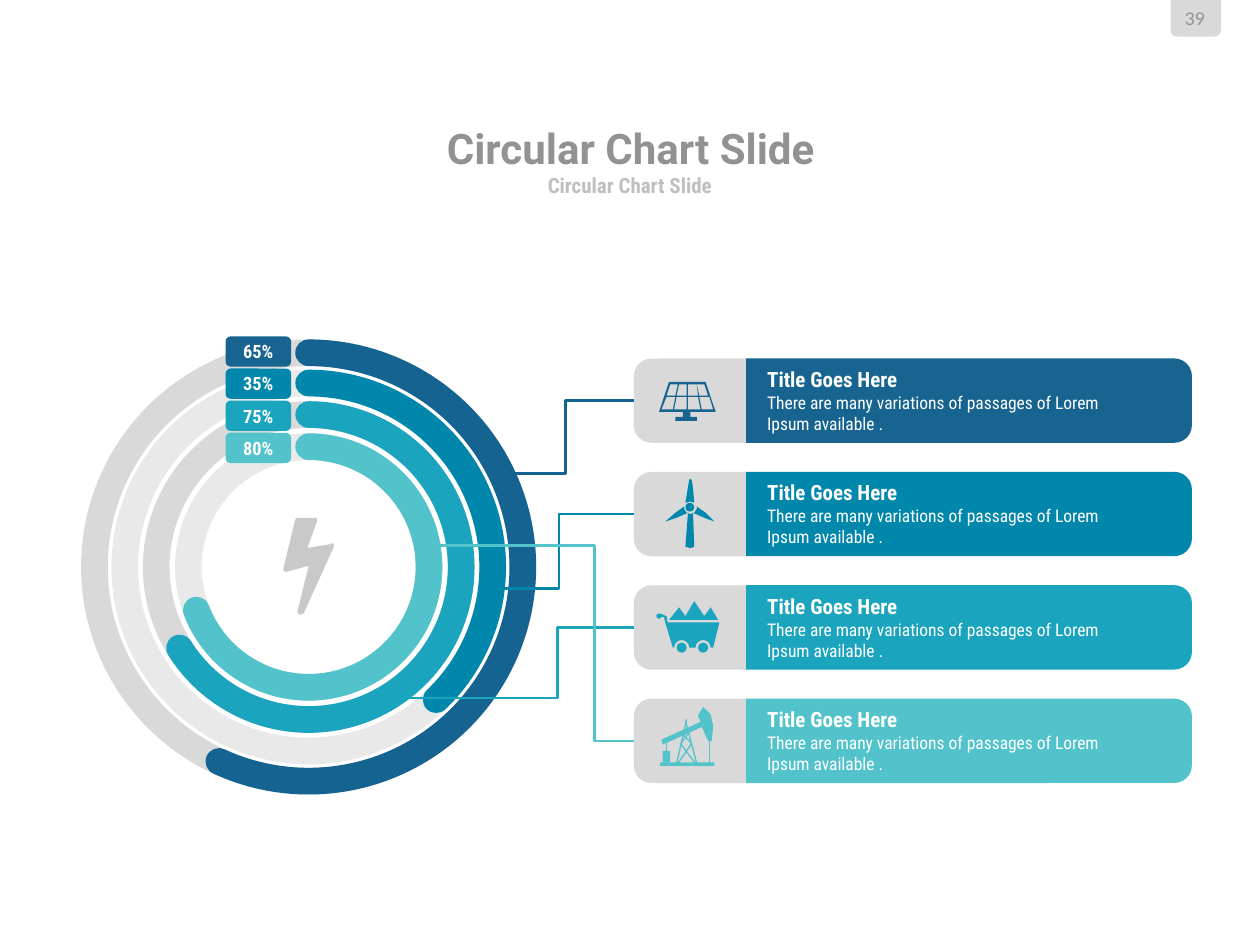
from math import cos, pi, sin

from lxml.etree import SubElement
from pptx import Presentation
from pptx.dml.color import RGBColor
from pptx.enum.shapes import MSO_CONNECTOR, MSO_SHAPE
from pptx.enum.text import MSO_ANCHOR, PP_ALIGN
from pptx.oxml.ns import qn
from pptx.util import Inches, Pt

NAVY = RGBColor(0x17, 0x64, 0x90)
DEEP_NAVY = RGBColor(0x14, 0x63, 0x90)
BLUE = RGBColor(0x01, 0x87, 0xAC)
TEAL = RGBColor(0x1A, 0xA4, 0xBE)
AQUA = RGBColor(0x52, 0xC3, 0xCB)
GREY = RGBColor(0xD9, 0xD9, 0xD9)
PALE = RGBColor(0xE9, 0xE9, 0xE9)
BOLT_GREY = RGBColor(0xC9, 0xC9, 0xC9)
TITLE_GREY = RGBColor(0x92, 0x92, 0x92)
SUBTITLE_GREY = RGBColor(0xBF, 0xBF, 0xBF)
WHITE = RGBColor(0xFF, 0xFF, 0xFF)

deck = Presentation()
deck.slide_width, deck.slide_height = Inches(10), Inches(7.5)
page = deck.slides.add_slide(deck.slide_layouts[6])


def add_filled(kind, left, top, width, height, color, rotation=0):
    shape = page.shapes.add_shape(
        kind, Inches(left), Inches(top), Inches(width), Inches(height))
    shape.rotation = rotation
    shape.shadow.inherit = False
    shape.fill.solid()
    shape.fill.fore_color.rgb = color
    shape.line.fill.background()
    return shape


def write_lines(box, lines, align=PP_ALIGN.CENTER, anchor=MSO_ANCHOR.MIDDLE, inset=0):
    """Fill a box with one paragraph per (text, font values) pair."""
    frame = box.text_frame
    frame.word_wrap = True
    frame.vertical_anchor = anchor
    for side, size in {"left": 2 * inset, "right": 2 * inset,
                       "top": inset, "bottom": inset}.items():
        setattr(frame, f"margin_{side}", Inches(size))
    for index, (text, font) in enumerate(lines):
        para = frame.add_paragraph() if index else frame.paragraphs[0]
        para.alignment = align
        span = para.add_run()
        span.text = text
        for name, value in font.items():
            if name == "color":
                span.font.color.rgb = value
            else:
                setattr(span.font, name, value)


# Page number and headings
add_filled(MSO_SHAPE.ROUND_2_SAME_RECTANGLE, 9.29, 0, 0.4, 0.29, GREY, 180)
headings = [
    ("39", (9.32, 0.06, 0.33, 0.17), "Lato", 10, TITLE_GREY, False),
    ("Circular Chart Slide", (1.92, 0.98, 6.17, 0.39), "Roboto", 24, TITLE_GREY, True),
    ("Circular Chart Slide", (2.75, 1.36, 4.5, 0.22), "Roboto Condensed", 12,
     SUBTITLE_GREY, True),
]
for text, place, name, size, color, bold in headings:
    box = page.shapes.add_textbox(*[Inches(value) for value in place])
    write_lines(box, [(text, {"name": name, "size": Pt(size), "color": color, "bold": bold})])

# Concentric rings: diameter, track colour, track end, value colour, value end
CENTER_X, CENTER_Y = 2.45, 4.5
rings = [
    (1.91, PALE, 160.69, AQUA, 95.4),
    (2.42, GREY, 160.87, TEAL, 88.75),
    (2.92, PALE, 160.93, BLUE, 27.68),
    (3.4, GREY, 160.96, DEEP_NAVY, 68.86),
]
for diameter, track_color, track_end, value_color, value_end in rings:
    for color, end in ((track_color, track_end), (value_color, value_end)):
        arc = page.shapes.add_shape(
            MSO_SHAPE.ARC, Inches(CENTER_X - diameter / 2), Inches(CENTER_Y - diameter / 2),
            Inches(diameter), Inches(diameter))
        arc.adjustments[0], arc.adjustments[1] = 162, end
        arc.shadow.inherit = False
        arc.fill.background()
        arc.line.color.rgb = color
        arc.line.width = Pt(15.25)
        arc.line._ln.set("cap", "rnd")

# Rows: colour, connector colour, connector end, connector bend
FIRST_ROW, ROW_STEP, ROW_HEIGHT = 3.18, 0.9, 0.67
TILE_LEFT, TILE_WIDTH, BAR_WIDTH = 5.03, 0.89, 3.54
rows = [
    (NAVY, DEEP_NAVY, (3.95, 3.76), 50000),
    (BLUE, BLUE, (3.84, 4.67), 50000),
    (TEAL, TEAL, (2.91, 5.54), 28500),
    (AQUA, AQUA, (3.32, 4.33), 18300),
]
body_font = {"name": "Roboto Condensed", "size": Pt(10), "color": WHITE, "bold": False}
bold_font = {**body_font, "size": Pt(12), "bold": True}
for index, (color, line_color, (end_x, end_y), bend) in enumerate(rows):
    middle = FIRST_ROW + index * ROW_STEP
    for left, width, fill, rotation in (
            (TILE_LEFT + TILE_WIDTH, BAR_WIDTH, color, 90),
            (TILE_LEFT, TILE_WIDTH, GREY, 270)):
        panel = add_filled(
            MSO_SHAPE.ROUND_2_SAME_RECTANGLE, left + (width - ROW_HEIGHT) / 2,
            middle - width / 2, ROW_HEIGHT, width, fill, rotation)
        panel.adjustments[0], panel.adjustments[1] = 0.21, 0

    box = page.shapes.add_textbox(
        Inches(5.99), Inches(middle - 0.32), Inches(3.17), Inches(0.64))
    write_lines(box, [
        ("Title Goes Here", bold_font),
        ("There are many variations of passages of Lorem Ipsum available .", body_font),
    ], PP_ALIGN.LEFT, MSO_ANCHOR.TOP, 0.05)

    link = page.shapes.add_connector(
        MSO_CONNECTOR.ELBOW, Inches(TILE_LEFT), Inches(middle), Inches(end_x), Inches(end_y))
    link.line.color.rgb = line_color
    link.line.width = Pt(1.5)
    SubElement(link.line._ln, qn("a:tailEnd"), type="triangle")
    properties = link._element.spPr
    SubElement(properties, qn("a:effectLst"))
    SubElement(properties.find(qn("a:prstGeom")).find(qn("a:avLst")), qn("a:gd"),
               name="adj1", fmla=f"val {bend}")

# Icon outlines: each is a colour and its closed contours
wheel_centers = [(5.58, 5.14), (5.41, 5.14)]
wheel_arches = [(x + 0.06 * cos(step * pi / 8), y - 0.06 * sin(step * pi / 8))
                for x, y in wheel_centers for step in range(9)]
outlines = [
    # Lightning bolt
    (BOLT_GREY, [[(2.65, 4.34), (2.41, 4.87), (2.38, 4.88), (2.36, 4.86), (2.45, 4.49),
                  (2.27, 4.54), (2.25, 4.53), (2.25, 4.51), (2.34, 4.14), (2.35, 4.11),
                  (2.51, 4.11), (2.52, 4.13), (2.44, 4.35), (2.62, 4.32), (2.64, 4.31),
                  (2.65, 4.32)]]),
    # Solar panel with its cells cut out
    (NAVY, [
        [(5.48, 3.27), (5.68, 3.27), (5.6, 3.03), (5.31, 3.03), (5.23, 3.27), (5.42, 3.27),
         (5.42, 3.31), (5.36, 3.31), (5.36, 3.34), (5.53, 3.34), (5.53, 3.31), (5.48, 3.31)],
        [(5.46, 3.14), (5.46, 3.05), (5.53, 3.05), (5.54, 3.14)],
        [(5.54, 3.15), (5.56, 3.25), (5.46, 3.25), (5.46, 3.15)],
        [(5.45, 3.14), (5.37, 3.14), (5.39, 3.05), (5.45, 3.05)],
        [(5.45, 3.15), (5.45, 3.25), (5.35, 3.25), (5.37, 3.15)],
        [(5.57, 3.25), (5.55, 3.15), (5.63, 3.15), (5.66, 3.25)],
        [(5.62, 3.14), (5.55, 3.14), (5.53, 3.05), (5.59, 3.05)],
        [(5.32, 3.05), (5.38, 3.05), (5.36, 3.14), (5.29, 3.14)],
        [(5.29, 3.15), (5.36, 3.15), (5.34, 3.25), (5.25, 3.25)]]),
    # Wind turbine: upper blade, then side blades with the tower
    (BLUE, [[(5.51, 3.99), (5.5, 3.87), (5.49, 3.81), (5.48, 3.8), (5.47, 3.81), (5.46, 3.87),
             (5.44, 3.99), (5.48, 3.98)]]),
    (BLUE, [[(5.53, 4.02), (5.53, 4.04), (5.51, 4.07), (5.48, 4.08), (5.45, 4.07),
             (5.43, 4.04), (5.43, 4.02), (5.36, 4.07), (5.28, 4.14), (5.37, 4.11),
             (5.46, 4.07), (5.44, 4.34), (5.48, 4.35), (5.51, 4.34), (5.5, 4.07),
             (5.59, 4.11), (5.67, 4.14), (5.6, 4.07)]]),
    # Mine cart: load, then body
    (TEAL, [[(5.31, 4.92), (5.7, 4.92), (5.64, 4.82), (5.59, 4.89), (5.51, 4.77),
             (5.44, 4.89), (5.39, 4.82)]]),
    (TEAL, [[(5.71, 4.94), (5.66, 5.14), *wheel_arches, (5.34, 5.14), (5.28, 4.94),
             (5.27, 4.9), (5.23, 4.89), (5.24, 4.87), (5.29, 4.89), (5.3, 4.94)]]),
    # Oil pump beam
    (AQUA, [[(5.26, 5.91), (5.57, 5.77), (5.62, 5.88), (5.65, 5.88), (5.66, 5.76),
             (5.64, 5.67), (5.58, 5.61), (5.54, 5.68), (5.56, 5.73), (5.25, 5.87)]]),
]
for color, contours in outlines:
    paths = [[(Inches(x), Inches(y)) for x, y in contour] for contour in contours]
    builder = page.shapes.build_freeform(*paths[0][0])
    for start, *others in paths:
        builder.move_to(*start)
        builder.add_line_segments(others, close=True)
    icon = builder.convert_to_shape()
    icon.shadow.inherit = False
    icon.fill.solid()
    icon.fill.fore_color.rgb = color
    icon.line.fill.background()

# Turbine hub, cart wheels and handle, pump base and weight
add_filled(MSO_SHAPE.OVAL, 5.44, 3.99, 0.07, 0.07, BLUE)
for x, y in wheel_centers:
    add_filled(MSO_SHAPE.OVAL, x - 0.04, y - 0.04, 0.08, 0.08, TEAL)
add_filled(MSO_SHAPE.OVAL, 5.21, 4.87, 0.04, 0.04, TEAL)
add_filled(MSO_SHAPE.RECTANGLE, 5.24, 6.05, 0.43, 0.03, AQUA)
add_filled(MSO_SHAPE.RECTANGLE, 5.26, 5.96, 0.06, 0.09, AQUA)

# Pump rods and tower struts
struts = [
    (5.63, 5.88, 5.63, 6.06), (5.29, 5.88, 5.29, 5.98), (5.37, 6.06, 5.45, 5.71),
    (5.44, 5.72, 5.53, 6.06), (5.38, 6.06, 5.49, 5.9), (5.4, 5.9, 5.52, 6.06),
    (5.4, 5.91, 5.47, 5.81), (5.41, 5.82, 5.49, 5.9),
]
for ends in struts:
    strut = page.shapes.add_connector(
        MSO_CONNECTOR.STRAIGHT, *[Inches(value) for value in ends])
    strut.line.color.rgb = AQUA
    strut.line.width = Pt(0.75)
    SubElement(strut._element.spPr, qn("a:effectLst"))

# Percentage badges
badge_font = {**bold_font, "size": Pt(10.5)}
for index, percent in enumerate(("65%", "35%", "75%", "80%")):
    badge = add_filled(MSO_SHAPE.ROUNDED_RECTANGLE, 1.79, 2.67 + index * 0.255, 0.52, 0.24,
                       rows[index][0])
    write_lines(badge, [(percent, badge_font)])

deck.save("out.pptx")
